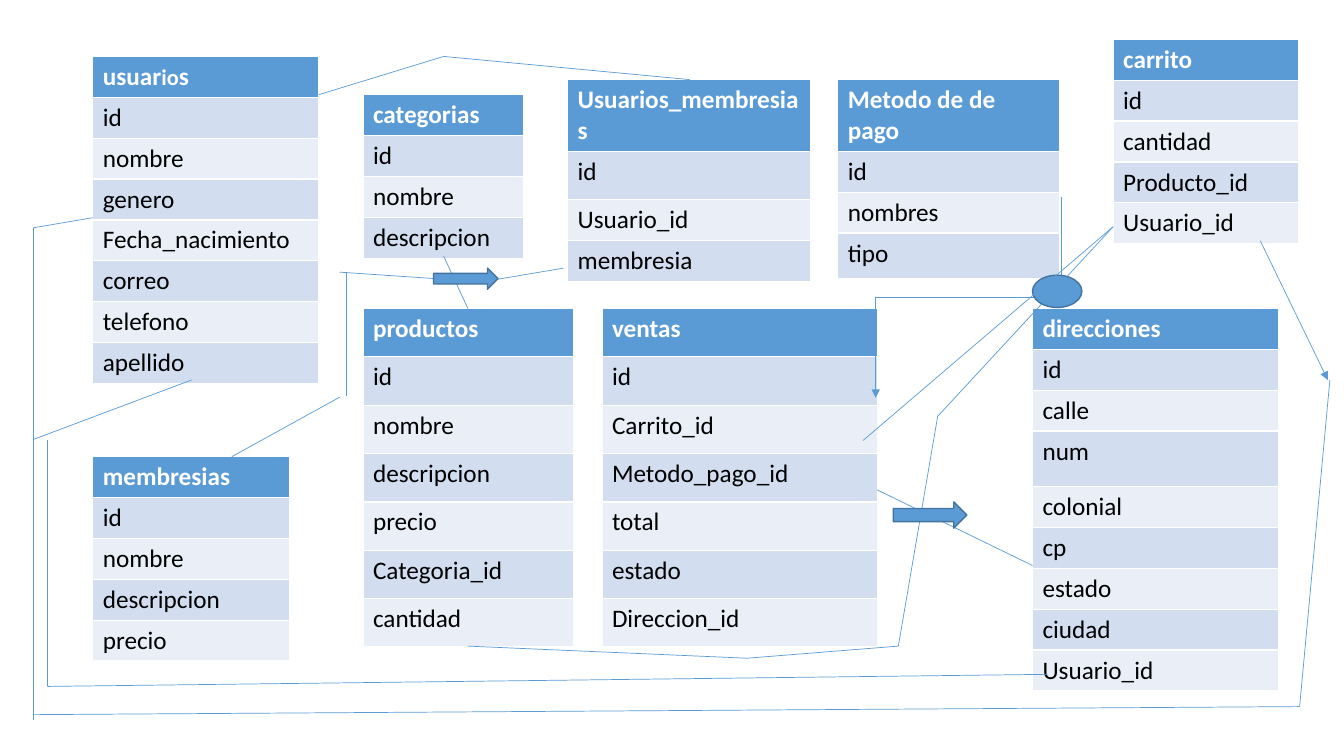
from itertools import pairwise

from lxml.etree import SubElement
from pptx import Presentation
from pptx.dml.color import RGBColor
from pptx.enum.shapes import MSO_CONNECTOR as CONNECTOR, MSO_SHAPE as SHAPE
from pptx.oxml.ns import qn
from pptx.util import Inches, Pt


def color(hex_value):
    return RGBColor.from_string(hex_value)


class Diagram:
    FONT = "Calibri"
    TEXT_SIZE = 18
    BLUE, OUTLINE = "5B9BD5", "43739E"
    WHITE, BLACK = "FFFFFF", "000000"
    BANDS = ("EAEFF7", "D2DEEF")
    ROW_HEIGHT = 0.4

    def __init__(self, slide):
        self.slide = slide

    def entity(self, left, top, width, name, fields, heights=None):
        """Draw a database table: its name above one row per field."""
        texts = [name, *fields.split()]
        heights = heights or [self.ROW_HEIGHT] * len(texts)
        table = self.slide.shapes.add_table(
            len(texts), 1, Inches(left), Inches(top),
            Inches(width), Inches(sum(heights))).table
        for index, (text, height) in enumerate(zip(texts, heights)):
            table.rows[index].height = Inches(height)
            cell = table.cell(index, 0)
            header = index == 0
            cell.fill.solid()
            cell.fill.fore_color.rgb = color(self.BLUE if header else self.BANDS[index % 2])
            paragraph = cell.text_frame.paragraphs[0]
            pieces = [text] if isinstance(text, str) else text
            for piece in pieces:
                paragraph.add_run().text = piece
            for run in paragraph.runs:
                run.font.name = self.FONT
                run.font.size = Pt(self.TEXT_SIZE)
                run.font.bold = header
                run.font.color.rgb = color(self.WHITE if header else self.BLACK)
        return table

    def connector(self, start, end, arrow=False, kind=CONNECTOR.STRAIGHT):
        line = self.slide.shapes.add_connector(
            kind, *(Inches(value) for value in (*start, *end)))
        line.line.color.rgb = color(self.BLUE)
        line.line.width = Pt(0.5)
        properties = line._element.spPr
        if arrow:
            SubElement(properties.find(qn("a:ln")), qn("a:tailEnd"), type="triangle")
        SubElement(properties, qn("a:effectLst"))
        return line

    def route(self, *points):
        """Join the points with straight segments."""
        for start, end in pairwise(points):
            self.connector(start, end)

    def shape(self, kind, left, top, width, height):
        shape = self.slide.shapes.add_shape(
            kind, *(Inches(value) for value in (left, top, width, height)))
        shape.shadow.inherit = False
        shape.fill.solid()
        shape.fill.fore_color.rgb = color(self.BLUE)
        shape.line.color.rgb = color(self.OUTLINE)
        shape.line.width = Pt(1)


def draw_entities(diagram):
    users = diagram.entity(0.92, 0.56, 2.24, ("usuar", "io", "s"),
                           "id nombre genero Fecha_nacimiento correo telefono apellido")
    users.cell(0, 0).text_frame.paragraphs[0].runs[1].font.size = Pt(16)
    diagram.entity(0.92, 4.53, 1.95, "membresias", "id nombre descripcion precio")
    diagram.entity(3.6, 0.94, 1.59, "categorias", "id nombre descripcion")
    diagram.entity(5.63, 0.79, 2.41, "Usuarios_membresias",
                   "id Usuario_id membresia", [0.7, 0.48, 0.4, 0.4])
    diagram.entity(8.31, 0.79, 2.2, "Metodo de de pago",
                   "id nombres tipo", [0.7, 0.4, 0.4, 0.45])
    diagram.entity(5.97, 3.06, 2.73, "ventas",
                   "id Carrito_id Metodo_pago_id total estado Direccion_id", [0.48] * 7)
    diagram.entity(3.6, 3.06, 2.09, "productos",
                   "id nombre descripcion precio Categoria_id cantidad", [0.48] * 7)
    diagram.entity(10.24, 3.06, 2.44, "direcciones",
                   "id calle num colonial cp estado ciudad Usuario_id",
                   [0.4] * 3 + [0.55] + [0.4] * 5)
    diagram.entity(11.04, 0.39, 1.84, "carrito", "id cantidad Producto_id Usuario_id")


def draw_relations(diagram):
    # Users, memberships and categories
    diagram.route((3.16, 0.94), (4.4, 0.56), (6.84, 0.79))
    diagram.route((4.4, 2.54), (4.64, 3.06))
    diagram.route((1.9, 3.77), (0.33, 4.36))
    diagram.route((0.47, 4.37), (0.47, 6.81), (10.39, 6.69))
    diagram.route((2.3, 4.53), (3.37, 3.94))
    diagram.route((3.44, 3.93), (3.44, 2.7))
    diagram.connector((3.37, 2.7), (4.4, 2.77), arrow=True)
    diagram.shape(SHAPE.RIGHT_ARROW, 4.3, 2.66, 0.64, 0.21)
    diagram.route((4.94, 2.77), (5.59, 2.66))

    # Payment method to sales: an elbow turned a quarter
    payment = diagram.connector((8.61, 2.03), (10.6, 3.87), arrow=True, kind=CONNECTOR.ELBOW)
    payment._element.spPr.find(qn("a:xfrm")).set("rot", str(90 * 60000))

    # Cart to users, around the edge
    diagram.connector((12.5, 2.39), (13.17, 3.77), arrow=True)
    diagram.route((13.19, 3.77), (12.89, 7.01), (0.33, 7.09))
    diagram.route((0.33, 7.14), (0.33, 2.26), (0.92, 2.16))

    # Cart to products and sales, sales to addresses
    cart = (11.04, 2.25)
    bend = (9.3, 4.13)
    diagram.route(cart, bend)
    diagram.shape(SHAPE.OVAL, 10.24, 2.73, 0.49, 0.32)
    diagram.route(bend, (8.91, 6.41), (7.41, 6.53), (4.64, 6.41))
    diagram.route((8.56, 4.37), cart)
    diagram.route((8.7, 4.86), (10.24, 5.61))
    diagram.shape(SHAPE.RIGHT_ARROW, 8.86, 4.98, 0.73, 0.26)


def main():
    presentation = Presentation()
    presentation.slide_width = Inches(13.33)
    presentation.slide_height = Inches(7.5)
    diagram = Diagram(presentation.slides.add_slide(presentation.slide_layouts[6]))
    draw_entities(diagram)
    draw_relations(diagram)
    presentation.save("out.pptx")


if __name__ == "__main__":
    main()
